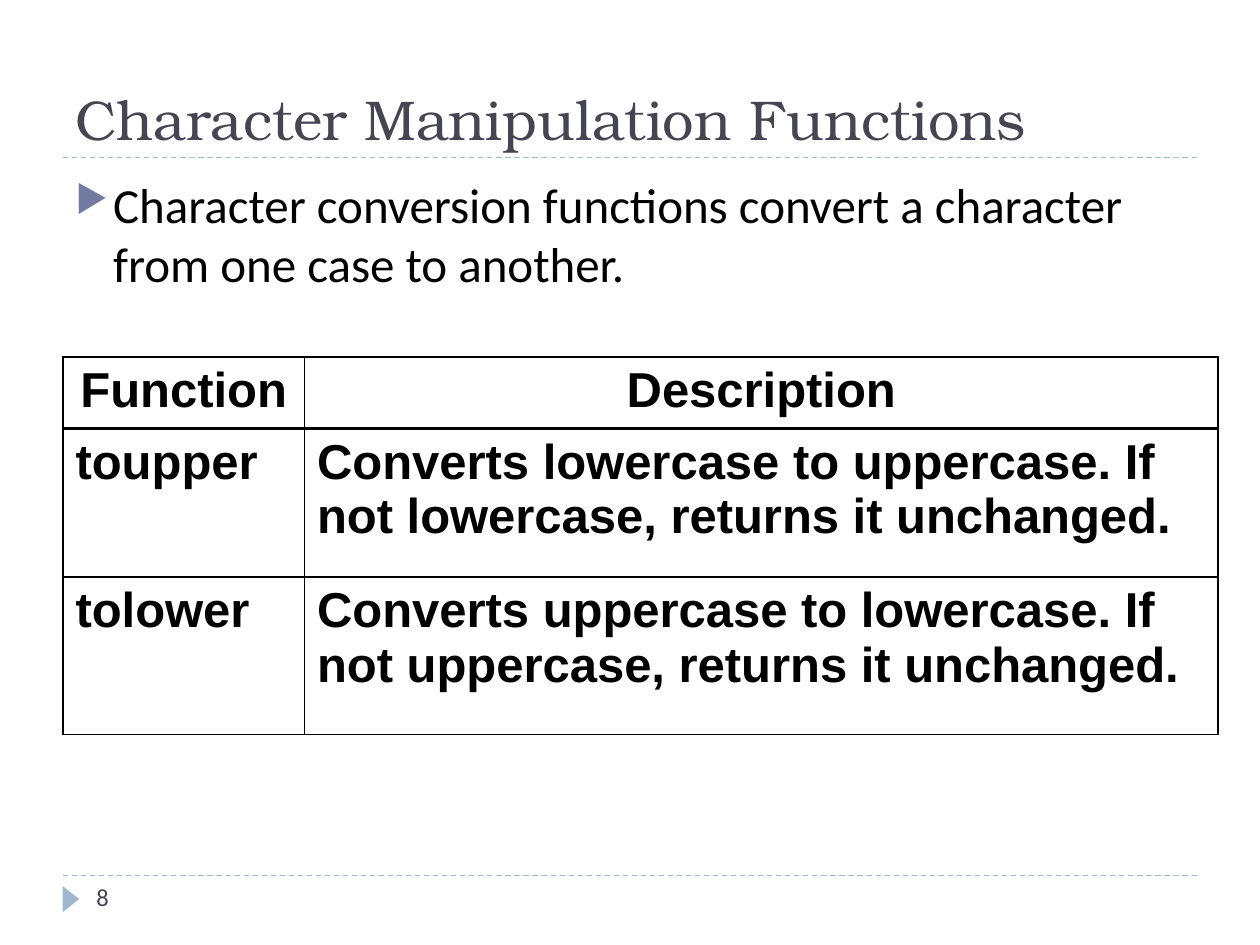
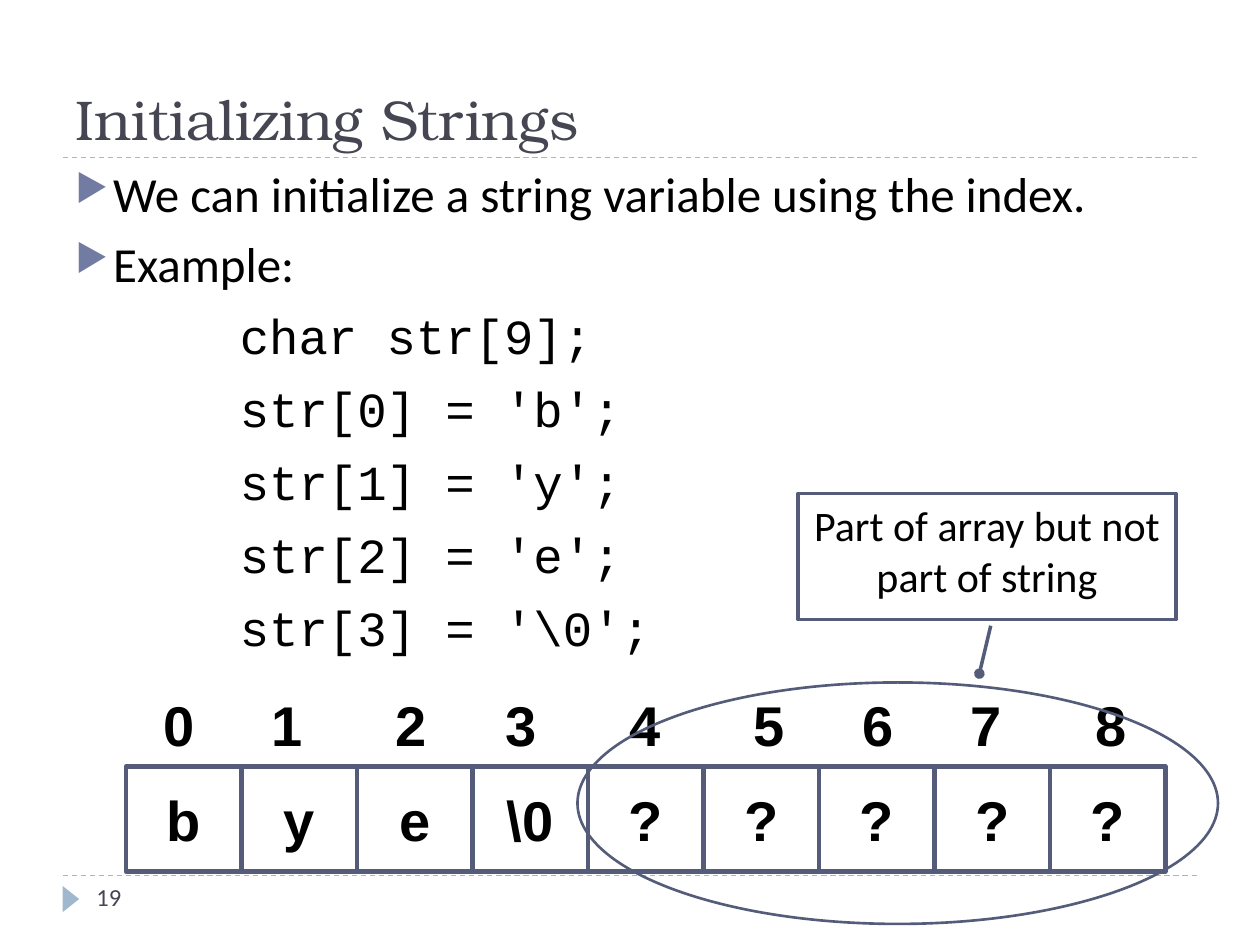
from dataclasses import dataclass

from lxml import etree
from pptx import Presentation
from pptx.dml.color import RGBColor
from pptx.enum.dml import MSO_LINE
from pptx.enum.shapes import MSO_CONNECTOR, MSO_SHAPE
from pptx.enum.text import MSO_ANCHOR, PP_ALIGN
from pptx.oxml.ns import qn
from pptx.util import Pt

DASH = MSO_LINE.DASH
STRAIGHT = MSO_CONNECTOR.STRAIGHT
RECT = MSO_SHAPE.RECTANGLE
OVAL = MSO_SHAPE.OVAL
TRIANGLE = MSO_SHAPE.ISOSCELES_TRIANGLE
CALLOUT = MSO_SHAPE.LINE_CALLOUT_1
LEFT, CENTER = PP_ALIGN.LEFT, PP_ALIGN.CENTER
TOP, MIDDLE, BOTTOM = MSO_ANCHOR.TOP, MSO_ANCHOR.MIDDLE, MSO_ANCHOR.BOTTOM


@dataclass(frozen=True)
class Font:
    name: str
    size: float
    color: str = "000000"
    bold: bool = False


@dataclass(frozen=True)
class Theme:
    title: Font = Font("TeX Gyre Bonum", 32, "464653")
    body: Font = Font("Calibri", 28)
    code: Font = Font("Courier New", 28)
    table: Font = Font("Arial", 28, bold=True)
    cell: Font = Font("Arial", 32, bold=True)
    note: Font = Font("Calibri", 24)
    number: Font = Font("Calibri", 14, "464653")
    rule: str = "9FB8CD"
    bullet: str = "727CA3"
    outline: str = "545C79"
    border: str = "000000"
    paper: str = "FFFFFF"


def add_xml(parent, tag, **attrs):
    return etree.SubElement(parent, qn(tag), {k: str(v) for k, v in attrs.items()})


def add_color(parent, color):
    add_xml(add_xml(parent, "a:solidFill"), "a:srgbClr", val=color)


class Deck:
    def __init__(self, theme):
        self.theme = theme
        self.prs = Presentation()
        self.prs.slide_width, self.prs.slide_height = Pt(720), Pt(540)
        self.s = None

    def slide(self, title, number):
        self.s = self.prs.slides.add_slide(self.prs.slide_layouts[6])
        for y in (500.4, 90):
            self.rule(36, y, 684)
        marker = self.shape(TRIANGLE, 33, 509, 15, 9.5, fill=self.theme.rule)
        marker.rotation = 90
        self.text(36, 12, 648, 78, title, self.theme.title, anchor=BOTTOM)
        self.text(48, 500.4, 156, 29, number, self.theme.number)

    def rule(self, x1, y, x2):
        line = self.s.shapes.add_connector(STRAIGHT, Pt(x1), Pt(y), Pt(x2), Pt(y))
        line.line.color.rgb = RGBColor.from_string(self.theme.rule)
        line.line.width = Pt(0.75)
        line.line.dash_style = DASH
        add_xml(line._element.spPr, "a:effectLst")

    def fill_paragraph(self, p, text, font, align=LEFT):
        p.text = text
        p.alignment = align
        for r in p.runs:
            r.font.name, r.font.size, r.font.bold = font.name, Pt(font.size), font.bold
            r.font.color.rgb = RGBColor.from_string(font.color)

    def text(self, x, y, w, h, text, font, anchor=TOP):
        tf = self.s.shapes.add_textbox(Pt(x), Pt(y), Pt(w), Pt(h)).text_frame
        tf.word_wrap = True
        tf.vertical_anchor = anchor
        self.fill_paragraph(tf.paragraphs[0], text, font)
        return tf

    def shape(self, kind, x, y, w, h, fill=None, width=0, text="", font=None, anchor=MIDDLE):
        sp = self.s.shapes.add_shape(kind, Pt(x), Pt(y), Pt(w), Pt(h))
        sp.shadow.inherit = False
        if fill:
            sp.fill.solid()
            sp.fill.fore_color.rgb = RGBColor.from_string(fill)
        else:
            sp.fill.background()
        if width:
            sp.line.color.rgb = RGBColor.from_string(self.theme.outline)
            sp.line.width = Pt(width)
        else:
            sp.line.fill.background()
        if text:
            sp.text_frame.word_wrap = True
            sp.text_frame.vertical_anchor = anchor
            self.fill_paragraph(sp.text_frame.paragraphs[0], text, font, CENTER)
        return sp

    def callout(self, x, y, w, h, text, adjustments):
        sp = self.shape(CALLOUT, x, y, w, h, self.theme.paper, 2, text, self.theme.note, TOP)
        for i, value in enumerate(adjustments):
            sp.adjustments[i] = value
        add_xml(sp._element.spPr.find(qn("a:ln")), "a:tailEnd", type="oval")

    def body(self, y, h, bullets, code=()):
        tf = self.text(36, y, 660, h, bullets[0], self.theme.body)
        for i, line in enumerate((*bullets, *code)):
            p = tf.add_paragraph() if i else tf.paragraphs[0]
            is_code = i >= len(bullets)
            self.fill_paragraph(p, line, self.theme.code if is_code else self.theme.body)
            if i:
                p.space_before = Pt(8 if is_code else 6)
            pPr = p._p.get_or_add_pPr()
            if is_code:
                pPr.set("marL", str(Pt(94)))
                pPr.set("indent", "0")
                add_xml(pPr, "a:buNone")
            else:
                pPr.set("marL", str(Pt(21.6)))
                pPr.set("indent", str(-Pt(21.6)))
                add_xml(add_xml(pPr, "a:buClr"), "a:srgbClr", val=self.theme.bullet)
                add_xml(pPr, "a:buSzPct", val=76000)
                add_xml(pPr, "a:buChar", char="▶")

    def tabbed(self, x, y, w, h, labels, stops, font):
        tf = self.text(x, y, w, h, "".join("\t" + label for label in labels), font, MIDDLE)
        tabs = add_xml(tf.paragraphs[0]._p.get_or_add_pPr(), "a:tabLst")
        for stop in stops:
            add_xml(tabs, "a:tab", pos=Pt(stop), algn="ctr")

    def table(self, x, y, widths, heights, rows):
        table = self.s.shapes.add_table(
            len(rows), len(widths), Pt(x), Pt(y), Pt(sum(widths)), Pt(sum(heights))
        ).table
        table.first_row = table.horz_banding = False
        for column, w in zip(table.columns, widths):
            column.width = Pt(w)
        for i, (row, h) in enumerate(zip(rows, heights)):
            table.rows[i].height = Pt(h)
            for j, text in enumerate(row):
                cell = table.cell(i, j)
                self.fill_paragraph(cell.text_frame.paragraphs[0], text, self.theme.table,
                                    LEFT if i else CENTER)
                borders = {"L": 1, "R": 1, "T": 2 if i == 1 else 1, "B": 1 if i else 2}
                for side, width in borders.items():
                    ln = add_xml(cell._tc.get_or_add_tcPr(), f"a:ln{side}", w=Pt(width))
                    add_color(ln, self.theme.border)
                cell.fill.background()


def character_functions(deck):
    deck.slide("Character Manipulation Functions", "8")
    deck.body(96, 420, ["Character conversion functions convert a character "
                        "from one case to another."])
    deck.table(36, 204, [138, 522], [38, 85, 90], [
        ["Function", "Description"],
        ["toupper", "Converts lowercase to uppercase. If not lowercase, returns it unchanged."],
        ["tolower", "Converts uppercase to lowercase. If not uppercase, returns it unchanged."],
    ])


def initializing_strings(deck):
    theme = deck.theme
    deck.slide("Initializing Strings", "19")
    letters = ["b", "y", "e", "\\0"]
    deck.body(
        90, 414,
        ["We can initialize a string variable using the index.", "Example:"],
        ["char str[9];"] + [f"str[{i}] = '{c}';" for i, c in enumerate(letters)],
    )
    array = letters + ["?"] * 5
    for i, value in enumerate(array):
        deck.shape(RECT, 72 + 66 * i, 438, 66, 60, width=2.5, text=value, font=theme.cell)
    stops = [53, 115, 186, 248.5, 319.5, 390.5, 452.5, 514.5, 586]
    deck.tabbed(42, 390, 636, 48, [str(i) for i in range(len(array))], stops, theme.cell)
    deck.callout(456, 282, 216, 72, "Part of array but not part of string",
                 [1.05, 0.51, 1.43, 0.48])
    deck.shape(OVAL, 330, 390, 366, 138, width=1.5)


def main():
    deck = Deck(Theme())
    character_functions(deck)
    initializing_strings(deck)
    deck.prs.save("out.pptx")


if __name__ == "__main__":
    main()
